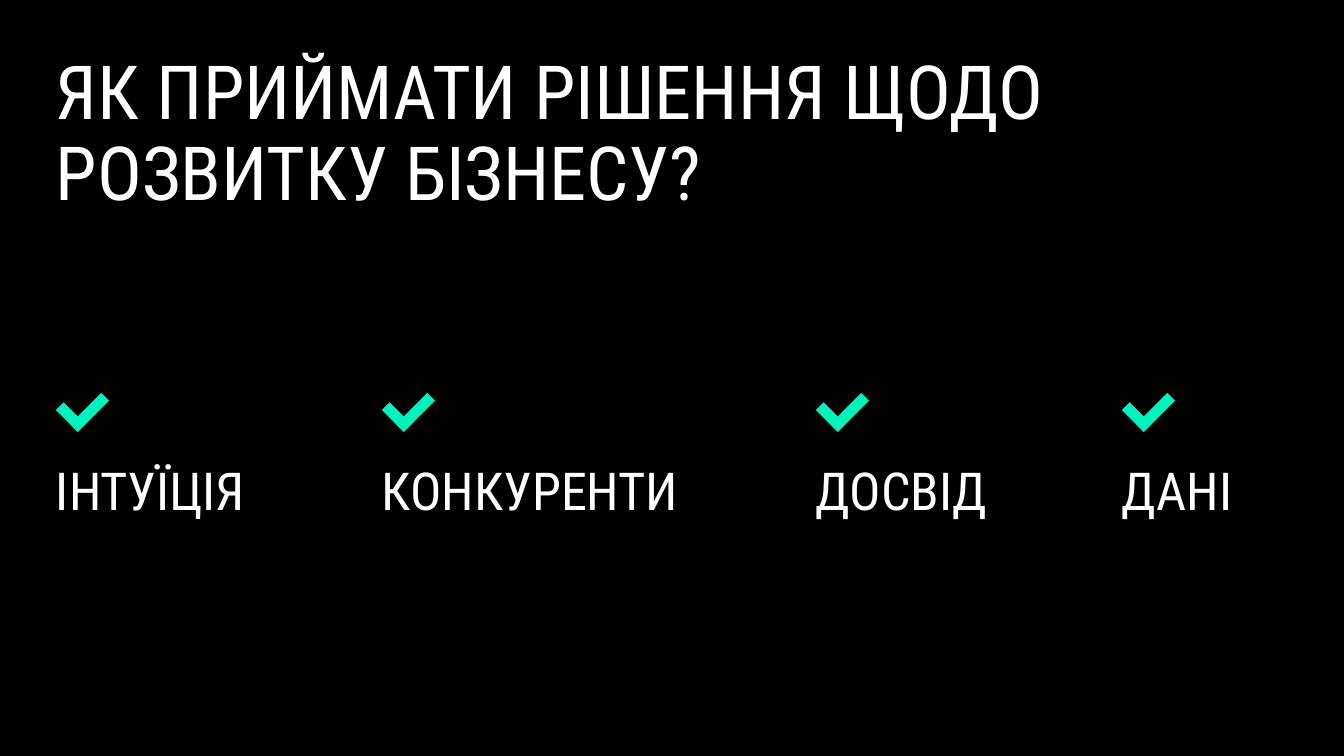
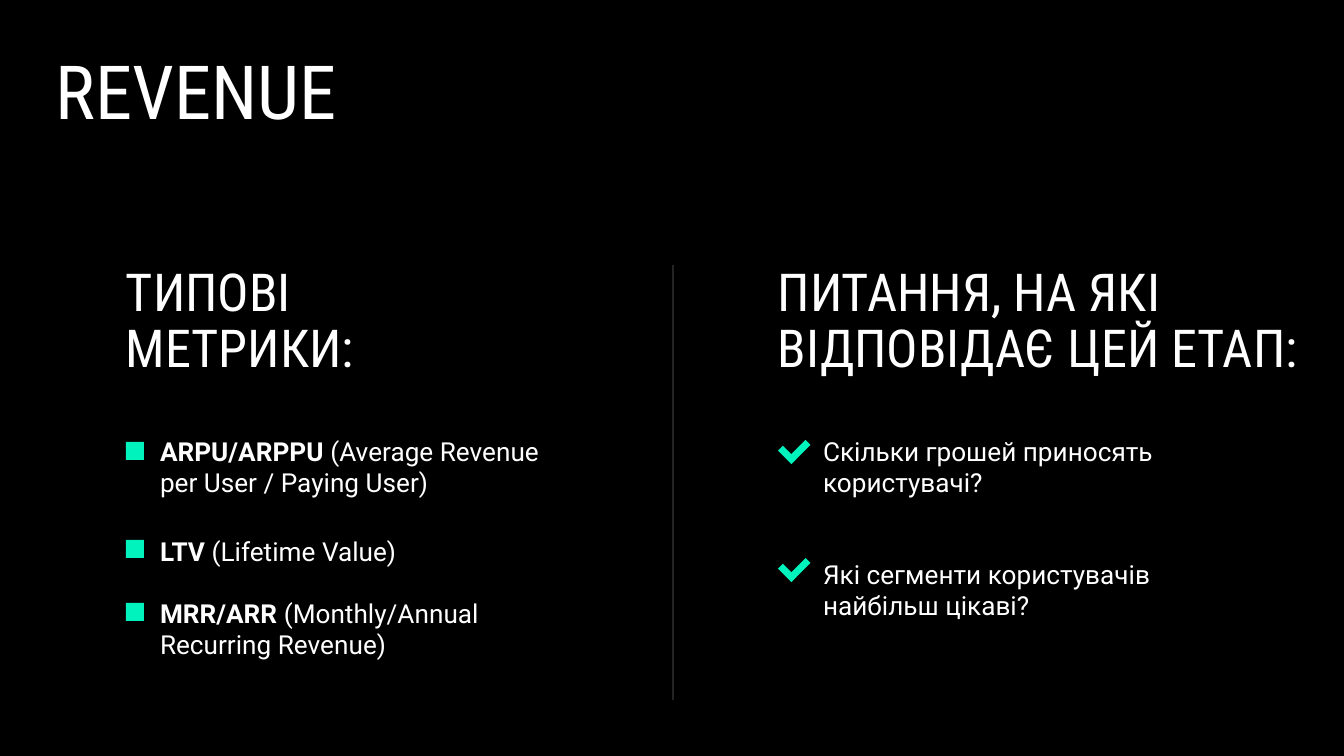
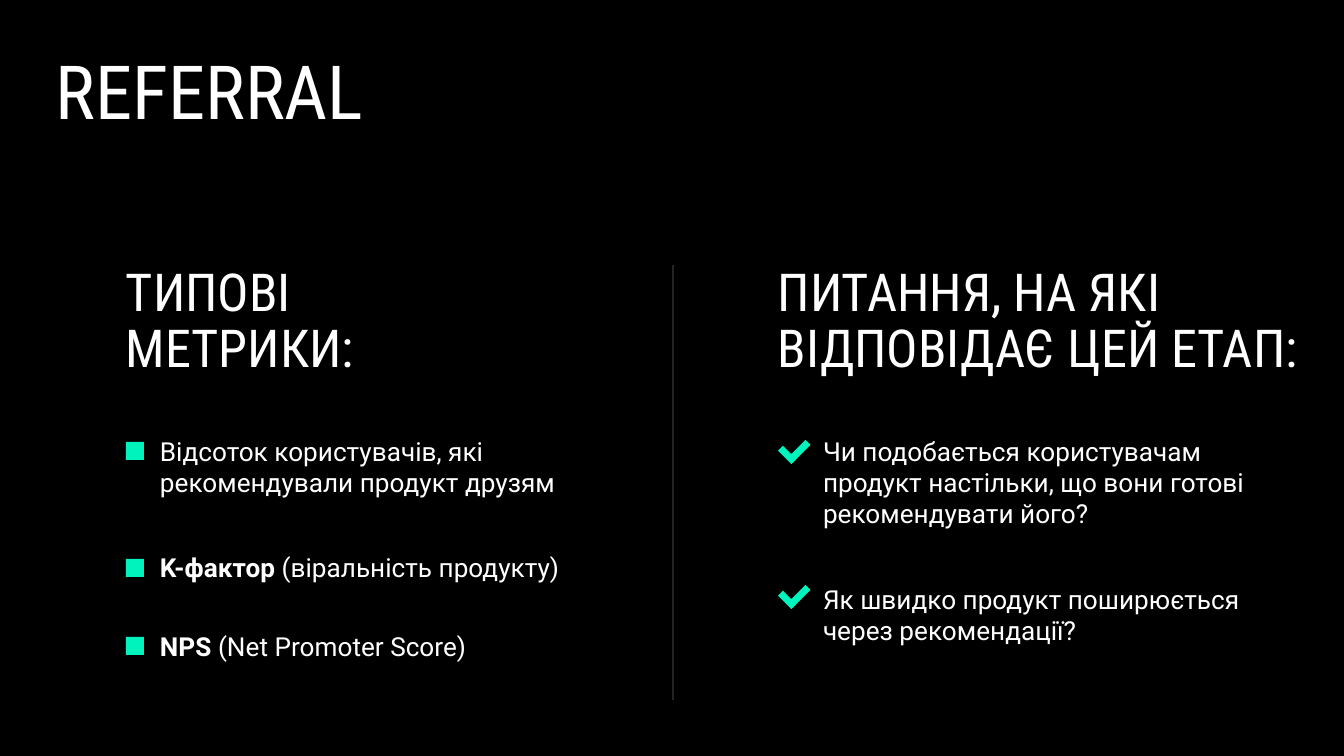
from dataclasses import dataclass
from math import sqrt

from lxml.etree import SubElement
from pptx import Presentation
from pptx.dml.color import RGBColor
from pptx.enum.shapes import MSO_CONNECTOR, MSO_SHAPE
from pptx.enum.text import MSO_ANCHOR, MSO_AUTO_SIZE, PP_ALIGN
from pptx.oxml.ns import qn
from pptx.slide import Slide
from pptx.util import Emu, Pt

EMU_PER_PX = 914400 / 134.4
TITLE_ONLY_LAYOUT = 5
COMPARISON_LAYOUT = 4


@dataclass(frozen=True)
class TextStyle:
    font: str
    size: int
    line_spacing: float = 1.0


@dataclass(frozen=True)
class Theme:
    background: RGBColor = RGBColor(0x00, 0x00, 0x00)
    text: RGBColor = RGBColor(0xFF, 0xFF, 0xFF)
    accent: RGBColor = RGBColor(0x00, 0xF3, 0xBC)
    divider: RGBColor = RGBColor(0x24, 0x24, 0x24)
    divider_width: float = 1.5
    title: TextStyle = TextStyle("Roboto Condensed", 40, 0.9)
    heading: TextStyle = TextStyle("Roboto Condensed", 28, 0.9)
    label: TextStyle = TextStyle("Roboto Condensed", 28)
    item: TextStyle = TextStyle("Roboto", 14)


THEME = Theme()


@dataclass(frozen=True)
class Box:
    left: int
    top: int
    width: int
    height: int


@dataclass(frozen=True)
class CheckSize:
    thickness: int
    short_arm: int
    long_arm: int


@dataclass(frozen=True)
class Span:
    text: str
    bold: bool = False


Lines = tuple[tuple[Span, ...], ...]


@dataclass(frozen=True)
class Source:
    label: str
    left: int
    width: int


@dataclass(frozen=True)
class Item:
    lines: Lines
    top: int
    width: int
    height: int
    marker_top: int


@dataclass(frozen=True)
class Stage:
    title: str
    metrics: tuple[Item, ...]
    questions: tuple[Item, ...]


def plain(text: str) -> Lines:
    return ((Span(text),),)


def term(name: str, meaning: str, *more: str) -> Lines:
    first = (Span(name + " ", True), Span(meaning))
    return (first, *((Span(line),) for line in more))


LARGE_CHECK = CheckSize(11, 31, 44)
SMALL_CHECK = CheckSize(7, 19, 27)

DECISION_TITLE = "ЯК ПРИЙМАТИ РІШЕННЯ ЩОДО РОЗВИТКУ БІЗНЕСУ?"
DECISION_TITLE_BOX = Box(56, 55, 997, 163)
STAGE_TITLE_BOX = Box(56, 55, 868, 82)
SOURCE_CHECK_TOP = 393
SOURCE_LABEL_TOP = 458
SOURCE_LABEL_HEIGHT = 66

METRICS_HEADING = "ТИПОВІ МЕТРИКИ:"
METRICS_HEADING_BOX = Box(126, 266, 376, 114)
METRIC_TEXT_LEFT = 160
SQUARE_SIDE = 18
QUESTIONS_HEADING = "ПИТАННЯ, НА ЯКІ ВІДПОВІДАЄ ЦЕЙ ЕТАП:"
QUESTIONS_HEADING_BOX = Box(778, 266, 566, 114)
QUESTION_TEXT_LEFT = 823
DIVIDER_LEFT, DIVIDER_TOP, DIVIDER_BOTTOM = 673, 265, 700

SOURCES = (
    Source("ІНТУЇЦІЯ", 56, 226),
    Source("КОНКУРЕНТИ", 382, 335),
    Source("ДОСВІД", 816, 208),
    Source("ДАНІ", 1122, 164),
)

STAGES = (
    Stage(
        "REVENUE",
        metrics=(
            Item(term("ARPU/ARPPU", "(Average Revenue", "per User / Paying User)"), 435, 484, 69, 442),
            Item(term("LTV", "(Lifetime Value)"), 535, 484, 32, 540),
            Item(term("MRR/ARR", "(Monthly/Annual", "Recurring Revenue)"), 597, 484, 69, 603),
        ),
        questions=(
            Item(plain("Скільки грошей приносять користувачі?"), 435, 426, 93, 440),
            Item(plain("Які сегменти користувачів найбільш цікаві?"), 558, 426, 60, 558),
        ),
    ),
    Stage(
        "REFERRAL",
        metrics=(
            Item(plain("Відсоток користувачів, які рекомендували продукт друзям"), 435, 434, 69, 442),
            Item(term("K-фактор", "(віральність продукту)"), 551, 434, 32, 559),
            Item(term("NPS", "(Net Promoter Score)"), 630, 434, 32, 637),
        ),
        questions=(
            Item(
                plain("Чи подобається користувачам продукт настільки, що вони готові рекомендувати його?"),
                435, 448, 98, 440,
            ),
            Item(plain("Як швидко продукт поширюється через рекомендації?"), 583, 426, 69, 585),
        ),
    ),
)


def px(length: float) -> Emu:
    return Emu(round(length * EMU_PER_PX))


def write(holder, lines: Lines, style: TextStyle) -> None:
    frame = holder.text_frame
    frame.word_wrap = True
    frame.auto_size = MSO_AUTO_SIZE.NONE
    frame.vertical_anchor = MSO_ANCHOR.TOP
    frame.margin_left = frame.margin_top = frame.margin_right = frame.margin_bottom = 0
    for index, spans in enumerate(lines):
        paragraph = frame.add_paragraph() if index else frame.paragraphs[0]
        paragraph.alignment = PP_ALIGN.LEFT
        paragraph.line_spacing = style.line_spacing
        paragraph.space_before = Pt(0)
        for span in spans:
            run = paragraph.add_run()
            run.text = span.text
            run.font.name = style.font
            run.font.size = Pt(style.size)
            run.font.bold = span.bold
            run.font.color.rgb = THEME.text


def fill_placeholder(holder, text: str, box: Box, style: TextStyle) -> None:
    holder.left, holder.top = px(box.left), px(box.top)
    holder.width, holder.height = px(box.width), px(box.height)
    write(holder, plain(text), style)


def add_text(slide: Slide, lines: Lines, box: Box, style: TextStyle) -> None:
    holder = slide.shapes.add_textbox(px(box.left), px(box.top), px(box.width), px(box.height))
    write(holder, lines, style)


def add_bar(shapes, left: float, top: float, width: float, height: float, rotation: float = 0) -> None:
    bar = shapes.add_shape(MSO_SHAPE.RECTANGLE, px(left), px(top), px(width), px(height))
    bar.rotation = rotation
    bar.shadow.inherit = False
    bar.fill.solid()
    bar.fill.fore_color.rgb = THEME.accent
    bar.line.fill.background()


def add_check(slide: Slide, left: int, top: int, size: CheckSize) -> None:
    thickness, short, long = size.thickness, size.short_arm, size.long_arm
    short_reach = (short + thickness) / sqrt(8)
    long_reach = (long + thickness) / sqrt(8)
    short_x = left + short_reach
    long_x = short_x + (short + long - 2 * thickness) / sqrt(8)
    long_y = top + long_reach
    short_y = long_y + long_reach - short_reach
    arms = slide.shapes.add_group_shape().shapes
    for x, y, length, rotation in ((short_x, short_y, short, 315), (long_x, long_y, long, 45)):
        add_bar(arms, x - thickness / 2, y - length / 2, thickness, length, rotation)


def add_divider(slide: Slide) -> None:
    divider = slide.shapes.add_connector(
        MSO_CONNECTOR.STRAIGHT, px(DIVIDER_LEFT), px(DIVIDER_TOP), px(DIVIDER_LEFT), px(DIVIDER_BOTTOM)
    )
    divider.line.color.rgb = THEME.divider
    divider.line.width = Pt(THEME.divider_width)
    SubElement(divider._element.spPr, qn("a:effectLst"))


def build_decision(slide: Slide) -> None:
    fill_placeholder(slide.shapes.title, DECISION_TITLE, DECISION_TITLE_BOX, THEME.title)
    for source in SOURCES:
        label_box = Box(source.left, SOURCE_LABEL_TOP, source.width, SOURCE_LABEL_HEIGHT)
        add_text(slide, plain(source.label), label_box, THEME.label)
        add_check(slide, source.left, SOURCE_CHECK_TOP, LARGE_CHECK)


def build_stage(slide: Slide, stage: Stage) -> None:
    title, metrics_heading, metrics_body, questions_heading, questions_body = slide.placeholders
    fill_placeholder(title, stage.title, STAGE_TITLE_BOX, THEME.title)
    fill_placeholder(metrics_heading, METRICS_HEADING, METRICS_HEADING_BOX, THEME.heading)
    fill_placeholder(questions_heading, QUESTIONS_HEADING, QUESTIONS_HEADING_BOX, THEME.heading)
    for unused in (metrics_body, questions_body):
        unused._element.getparent().remove(unused._element)
    add_divider(slide)
    for metric in stage.metrics:
        add_text(slide, metric.lines, Box(METRIC_TEXT_LEFT, metric.top, metric.width, metric.height), THEME.item)
        add_bar(slide.shapes, METRICS_HEADING_BOX.left, metric.marker_top, SQUARE_SIDE, SQUARE_SIDE)
    for question in stage.questions:
        question_box = Box(QUESTION_TEXT_LEFT, question.top, question.width, question.height)
        add_text(slide, question.lines, question_box, THEME.item)
        add_check(slide, QUESTIONS_HEADING_BOX.left, question.marker_top, SMALL_CHECK)


def main() -> None:
    deck = Presentation()
    deck.slide_width, deck.slide_height = px(1344), px(756)
    backdrop = deck.slide_master.background.fill
    backdrop.solid()
    backdrop.fore_color.rgb = THEME.background
    build_decision(deck.slides.add_slide(deck.slide_layouts[TITLE_ONLY_LAYOUT]))
    for stage in STAGES:
        build_stage(deck.slides.add_slide(deck.slide_layouts[COMPARISON_LAYOUT]), stage)
    deck.save("out.pptx")


if __name__ == "__main__":
    main()
